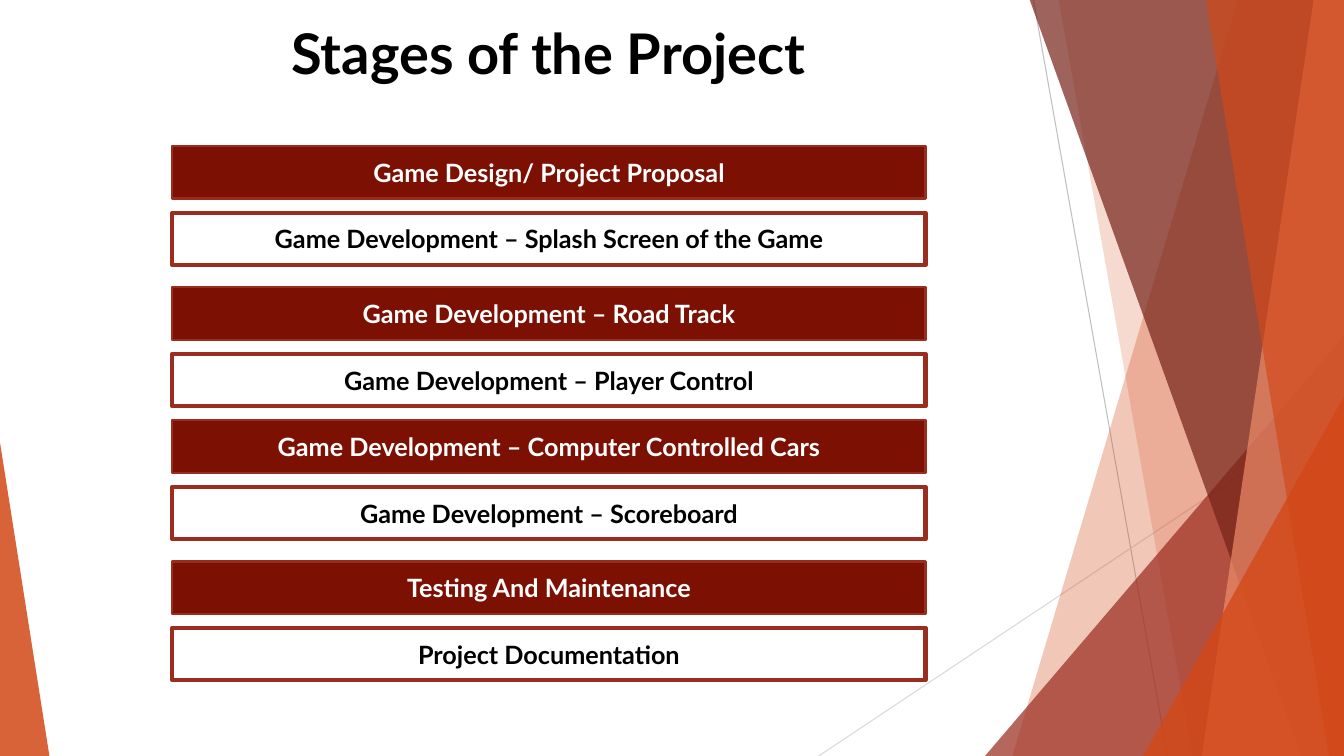
from dataclasses import dataclass

import lxml.etree
import pptx
import pptx.dml.color
import pptx.enum.shapes
import pptx.enum.text
import pptx.oxml.ns
import pptx.shapes.autoshape
import pptx.slide
import pptx.text.text
import pptx.util
from pptx.util import Inches

COLORS = {
    "black": "000000",
    "white": "FFFFFF",
    "orange": "D34817",
    "salmon": "EF8C6A",
    "brick": "9B2D1F",
    "maroon": "742217",
    "bar": "7B1003",
    "gray": "BFBFBF",
    "light gray": "D9D9D9",
}
FONT = "Lato"
SLIDE_WIDTH, SLIDE_HEIGHT = 13.33, 7.5
BAND_TOP = -0.01

STAGE_LEFT, STAGE_TOP = 1.71, 1.45
STAGE_WIDTH, STAGE_HEIGHT = 7.47, 0.52
STAGE_PITCH, GROUP_GAP = 0.66, 0.08


@dataclass(frozen=True)
class Ray:
    start: tuple[float, float]
    end: tuple[float, float]
    color: str


@dataclass(frozen=True)
class Band:
    """A facet from a slanted left edge to the right side of the slide."""
    top_x: float
    bottom_x: float
    color: str
    opacity: int


@dataclass(frozen=True)
class Wedge:
    """A right triangle standing on the bottom of the slide."""
    left: float
    top: float
    width: float
    apex: float
    color: str
    opacity: int


@dataclass(frozen=True)
class Stage:
    text: str
    group: int


RAYS = [
    Ray((10.25, 0), (11.58, 7.5), "gray"),
    Ray((13.33, 4.03), (8.12, 7.5), "light gray"),
]
FACETS = [
    Band(12.28, 10.04, "orange", 30),
    Band(10.5, 11.83, "orange", 20),
    Wedge(9.77, 3.33, 3.56, 1, "brick", 72),
    Band(10.21, 12.91, "maroon", 70),
    Band(13.03, 11.92, "salmon", 70),
    Band(11.96, 13.18, "orange", 65),
    Wedge(11.34, 3.93, 1.99, 1, "orange", 80),
    Wedge(0, 4.39, 0.49, 0, "orange", 85),
]
STAGES = [
    Stage("Game Design/ Project Proposal", 0),
    Stage("Game Development – Splash Screen of the Game", 0),
    Stage("Game Development – Road Track", 1),
    Stage("Game Development – Player Control", 1),
    Stage("Game Development – Computer Controlled Cars", 1),
    Stage("Game Development – Scoreboard", 1),
    Stage("Testing And Maintenance", 2),
    Stage("Project Documentation", 2),
]


def rgb(color: str) -> pptx.dml.color.RGBColor:
    return pptx.dml.color.RGBColor.from_string(COLORS[color])


def draw_ray(slide: pptx.slide.Slide, ray: Ray) -> None:
    connector = slide.shapes.add_connector(
        pptx.enum.shapes.MSO_CONNECTOR.STRAIGHT,
        *(Inches(value) for value in ray.start + ray.end),
    )
    connector.line.color.rgb = rgb(ray.color)
    connector.line.width = pptx.util.Pt(0.75)
    lxml.etree.SubElement(
        connector._element.spPr, pptx.oxml.ns.qn("a:effectLst"))


def band_shape(slide: pptx.slide.Slide, band: Band) -> pptx.shapes.autoshape.Shape:
    corners = [
        (SLIDE_WIDTH, BAND_TOP),
        (SLIDE_WIDTH, SLIDE_HEIGHT),
        (band.bottom_x, SLIDE_HEIGHT),
    ]
    builder = slide.shapes.build_freeform(Inches(band.top_x), Inches(BAND_TOP))
    builder.add_line_segments([(Inches(x), Inches(y)) for x, y in corners])
    return builder.convert_to_shape()


def wedge_shape(slide: pptx.slide.Slide, wedge: Wedge) -> pptx.shapes.autoshape.Shape:
    shape = slide.shapes.add_shape(
        pptx.enum.shapes.MSO_SHAPE.ISOSCELES_TRIANGLE,
        Inches(wedge.left), Inches(wedge.top),
        Inches(wedge.width), Inches(SLIDE_HEIGHT - wedge.top),
    )
    shape.adjustments[0] = wedge.apex
    return shape


def draw_facet(slide: pptx.slide.Slide, facet: Band | Wedge) -> None:
    make_shape = band_shape if isinstance(facet, Band) else wedge_shape
    shape = make_shape(slide, facet)
    shape.shadow.inherit = False
    shape.line.fill.background()
    shape.fill.solid()
    shape.fill.fore_color.rgb = rgb(facet.color)
    color = shape._element.spPr.find(".//" + pptx.oxml.ns.qn("a:srgbClr"))
    alpha = lxml.etree.SubElement(color, pptx.oxml.ns.qn("a:alpha"))
    alpha.set("val", str(facet.opacity * 1000))


def write_centered(frame: pptx.text.text.TextFrame, text: str, size: float,
                   color: str) -> None:
    frame.word_wrap = True
    paragraph = frame.paragraphs[0]
    paragraph.alignment = pptx.enum.text.PP_ALIGN.CENTER
    run = paragraph.add_run()
    run.text = text
    run.font.name = FONT
    run.font.size = pptx.util.Pt(size)
    run.font.bold = True
    run.font.color.rgb = rgb(color)


def draw_title(slide: pptx.slide.Slide, text: str) -> None:
    box = slide.shapes.add_textbox(
        Inches(0.74), Inches(0.13), Inches(9.4), Inches(1.44))
    write_centered(box.text_frame, text, 40, "black")


def draw_stage(slide: pptx.slide.Slide, index: int, stage: Stage) -> None:
    filled = index % 2 == 0
    top = STAGE_TOP + index * STAGE_PITCH + stage.group * GROUP_GAP
    shape = slide.shapes.add_shape(
        pptx.enum.shapes.MSO_SHAPE.RECTANGLE,
        Inches(STAGE_LEFT), Inches(top),
        Inches(STAGE_WIDTH), Inches(STAGE_HEIGHT),
    )
    shape.shadow.inherit = False
    if filled:
        shape.fill.solid()
        shape.fill.fore_color.rgb = rgb("bar")
    else:
        shape.fill.background()
    shape.line.color.rgb = rgb("brick")
    shape.line.width = pptx.util.Pt(1.5 if filled else 3)
    shape.text_frame.vertical_anchor = pptx.enum.text.MSO_ANCHOR.MIDDLE
    write_centered(shape.text_frame, stage.text, 18, "white" if filled else "black")


def main() -> None:
    presentation = pptx.Presentation()
    presentation.slide_width = Inches(SLIDE_WIDTH)
    presentation.slide_height = Inches(SLIDE_HEIGHT)
    slide = presentation.slides.add_slide(presentation.slide_layouts[6])
    for ray in RAYS:
        draw_ray(slide, ray)
    for facet in FACETS:
        draw_facet(slide, facet)
    draw_title(slide, "Stages of the Project")
    for index, stage in enumerate(STAGES):
        draw_stage(slide, index, stage)
    presentation.save("out.pptx")


if __name__ == "__main__":
    main()
